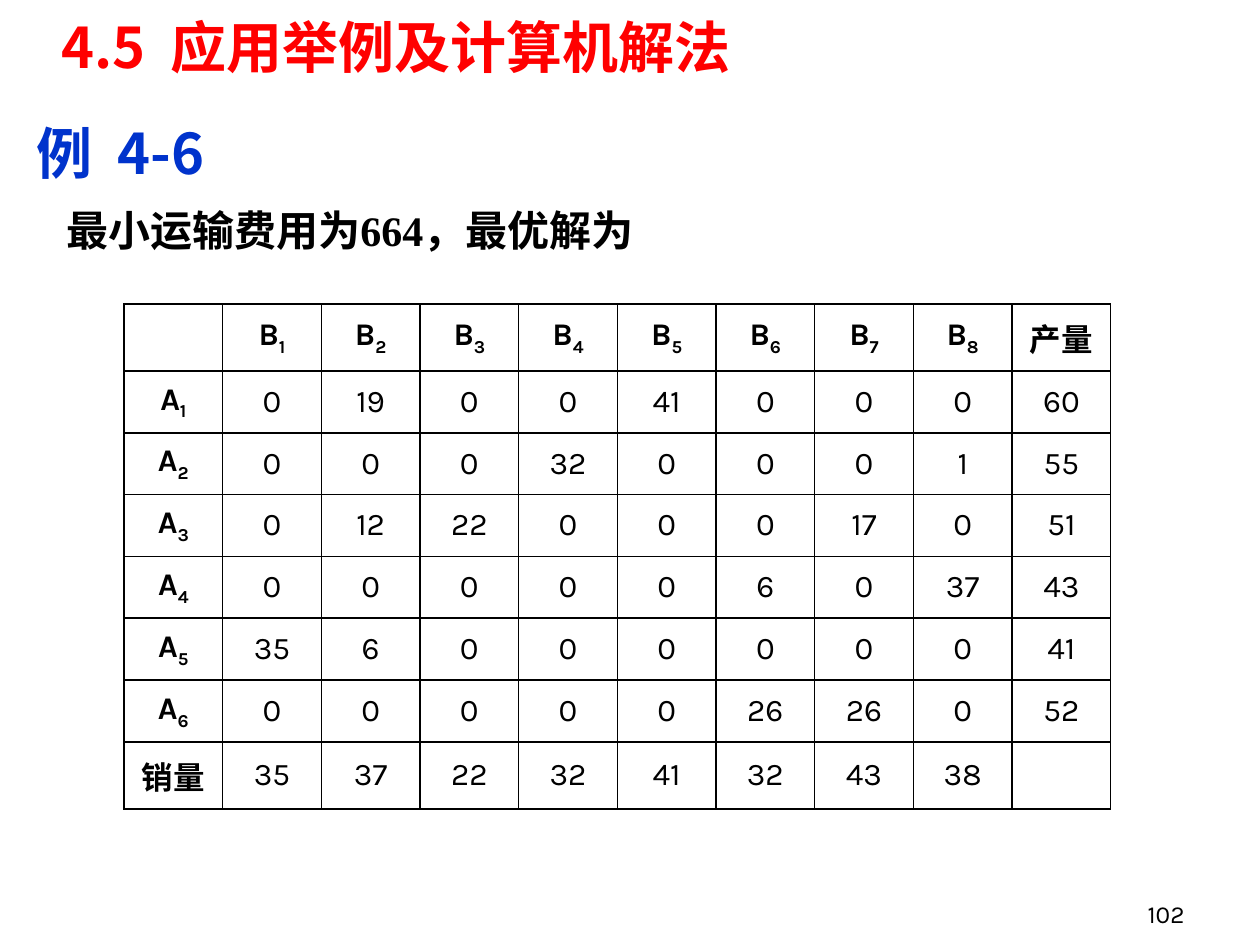
from lxml import etree
from pptx import Presentation
from pptx.dml.color import RGBColor
from pptx.enum.text import MSO_ANCHOR, PP_ALIGN
from pptx.oxml.ns import qn
from pptx.util import Emu, Pt

TOP, MIDDLE, BOTTOM = MSO_ANCHOR.TOP, MSO_ANCHOR.MIDDLE, MSO_ANCHOR.BOTTOM
LEFT, CENTER, RIGHT = PP_ALIGN.LEFT, PP_ALIGN.CENTER, PP_ALIGN.RIGHT
PX = 914400 / 126
SANS, SERIF, LATIN = "Noto Sans CJK SC", "Times New Roman", "Karla"
BLACK = "000000"
WIDE_GAP = {"spc": "700"}
SUBSCRIPT = {"baseline": "-25000"}

TEXTS = [
    {"box": (24, 112, 218, 81), "size": 32, "color": "0033CC", "bold": True,
     "runs": [("例", SANS, {}), (" ", SANS, WIDE_GAP), ("4-6", SANS, {})]},
    {"box": (49, 6, 1134, 81), "size": 32, "color": "FF0000", "bold": True,
     "runs": [("4.5", SANS, {}), (" ", SANS, WIDE_GAP), ("应用举例及计算机解法", SANS, {})]},
    {"box": (54, 198, 1143, 64), "size": 24, "color": BLACK, "bold": True,
     "runs": [("最小运输费用为664", SERIF, {}), ("，", SANS, {}), ("最优解为", SERIF, {})]},
    {"box": (935, 872, 262, 63), "size": 14, "color": BLACK, "bold": False,
     "anchor": BOTTOM, "align": RIGHT, "runs": [("102", LATIN, {})]},
]

SHIPMENTS = [
    [0, 19, 0, 0, 41, 0, 0, 0, 60],
    [0, 0, 0, 32, 0, 0, 0, 1, 55],
    [0, 12, 22, 0, 0, 0, 17, 0, 51],
    [0, 0, 0, 0, 0, 6, 0, 37, 43],
    [35, 6, 0, 0, 0, 0, 0, 0, 41],
    [0, 0, 0, 0, 0, 26, 26, 0, 52],
]
DEMAND = [35, 37, 22, 32, 41, 32, 43, 38]
GRID = [
    ["", *(f"B{number}" for number in range(1, 9)), "产量"],
    *([f"A{number}", *row] for number, row in enumerate(SHIPMENTS, 1)),
    ["销量", *DEMAND, ""],
]
TABLE_BOX = (124, 304, 987, 505)
EDGE_ROW_HEIGHT = 67


def px(length):
    return Emu(round(length * PX))


def rgb(color):
    return RGBColor.from_string(color)


def add_run(paragraph, text, font_name, size, color, bold, attributes):
    run = paragraph.add_run()
    run.text = text
    font = run.font
    font.name, font.size, font.bold = font_name, Pt(size), bold
    font.color.rgb = rgb(color)
    properties = font._element
    east_asian = etree.SubElement(properties, qn("a:ea"), typeface=SANS)
    properties.find(qn("a:latin")).addnext(east_asian)
    for name, value in attributes.items():
        properties.set(name, value)


def add_text(slide, item):
    frame = slide.shapes.add_textbox(*map(px, item["box"])).text_frame
    frame.word_wrap = True
    frame.vertical_anchor = item.get("anchor", TOP)
    paragraph = frame.paragraphs[0]
    paragraph.alignment = item.get("align", LEFT)
    for text, font_name, attributes in item["runs"]:
        add_run(paragraph, text, font_name, item["size"], item["color"], item["bold"], attributes)


def add_borders(cell):
    properties = cell._tc.get_or_add_tcPr()
    for position, side in enumerate(("lnL", "lnR", "lnT", "lnB")):
        line = etree.Element(qn(f"a:{side}"), w=str(Pt(1)))
        fill = etree.SubElement(line, qn("a:solidFill"))
        etree.SubElement(fill, qn("a:srgbClr"), val=BLACK)
        properties.insert(position, line)


def fill_cell(cell, value):
    cell.fill.background()
    cell.vertical_anchor = MIDDLE
    cell.margin_left = cell.margin_right = px(9)
    cell.margin_top = cell.margin_bottom = 0
    add_borders(cell)
    paragraph = cell.text_frame.paragraphs[0]
    paragraph.alignment = CENTER
    text, is_label = str(value), isinstance(value, str)
    if is_label and text[:1] in ("A", "B"):
        parts = [(text[0], {}), (text[1:], SUBSCRIPT)]
    else:
        parts = [(text, {})]
    for part, attributes in parts:
        if part:
            add_run(paragraph, part, LATIN, 18, BLACK, is_label, attributes)


def add_shipment_table(slide):
    row_count, column_count = len(GRID), len(GRID[0])
    table = slide.shapes.add_table(row_count, column_count, *map(px, TABLE_BOX)).table
    table.first_row = table.horz_banding = False
    for column in table.columns:
        column.width = px(TABLE_BOX[2] / column_count)
    inner_height = (TABLE_BOX[3] - 2 * EDGE_ROW_HEIGHT) / (row_count - 2)
    for index, values in enumerate(GRID):
        is_edge = index in (0, row_count - 1)
        table.rows[index].height = px(EDGE_ROW_HEIGHT if is_edge else inner_height)
        for cell, value in zip(table.rows[index].cells, values):
            fill_cell(cell, value)


def main():
    """Build the slide with the optimal transport plan."""
    presentation = Presentation()
    presentation.slide_width, presentation.slide_height = px(1260), px(945)
    slide = presentation.slides.add_slide(presentation.slide_layouts[6])
    for item in TEXTS[:3]:
        add_text(slide, item)
    add_shipment_table(slide)
    add_text(slide, TEXTS[3])
    presentation.save("out.pptx")


if __name__ == "__main__":
    main()
